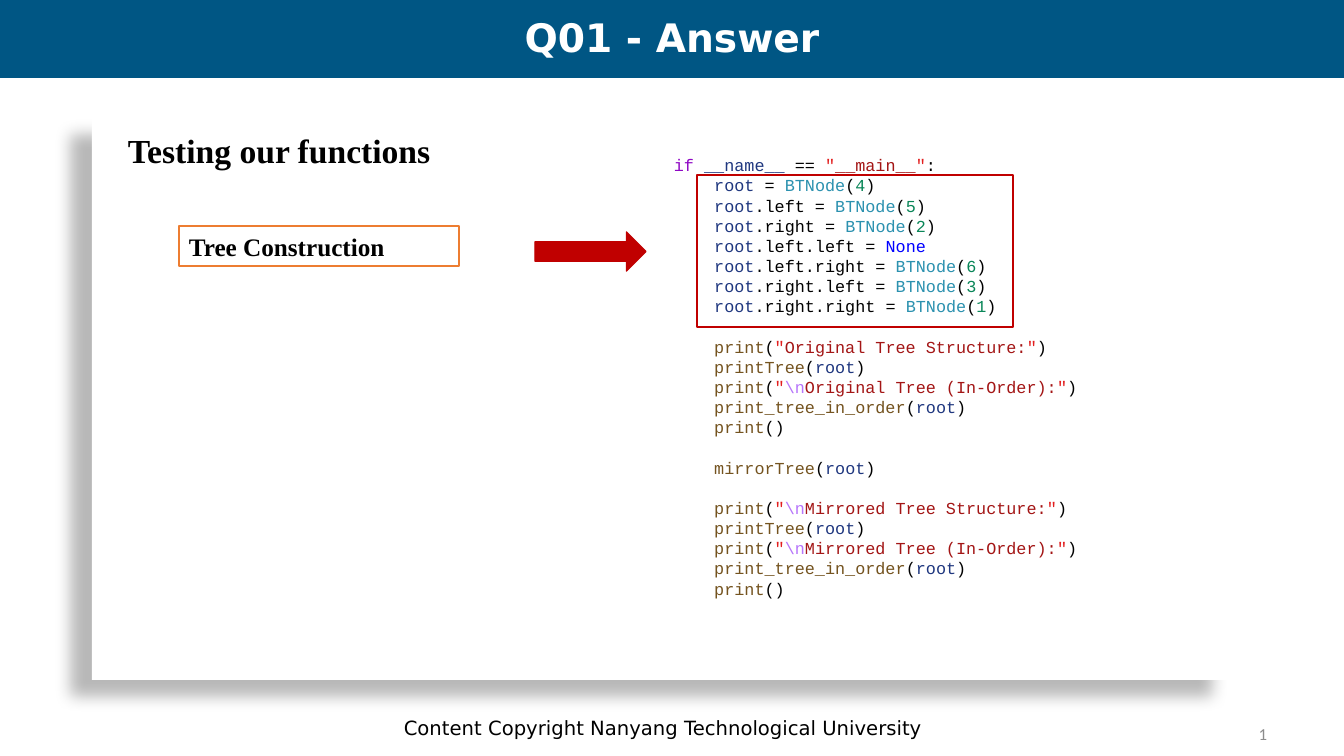
import copy

import lxml.etree
import pptx
import pptx.dml.color
import pptx.enum.shapes
import pptx.enum.text
import pptx.oxml
import pptx.oxml.ns
import pptx.util

SHAPE = pptx.enum.shapes.MSO_SHAPE
ALIGN = pptx.enum.text.PP_ALIGN
ANCHOR = pptx.enum.text.MSO_ANCHOR
EMU_PER_PX = 914400 / 100.8
TITLE_ONLY = 5

BLACK, WHITE, RED, ORANGE = "000000", "FFFFFF", "C00000", "ED7D31"
SANS, SERIF, MONO, NUMBER_FONT = "DejaVu Sans", "Times New Roman", "Courier New", "Calibri"

PLAIN, KEYWORD, VARIABLE, CLASS = BLACK, "8F08C4", "1F377F", "2B91AF"
NUMBER, CONSTANT, FUNCTION = "098658", "0000FF", "74531F"
QUOTE, STRING, ESCAPE = "E21F1F", "A31515", "B776FB"
INDENT = ("    ", PLAIN)
BREAK = None


def px(length):
    return pptx.util.Emu(round(length * EMU_PER_PX))


def rgb(hex_string):
    return pptx.dml.color.RGBColor.from_string(hex_string)


def quoted(text):
    """Colour a string literal, with a leading \\n escape set apart."""
    mark = ('"', QUOTE)
    if text.startswith("\\n"):
        return [mark, ("\\n", ESCAPE), (text[2:], STRING), mark]
    return [mark, (text, STRING), mark]


def call(function, *arguments):
    return [INDENT, (function, FUNCTION), ("(", PLAIN), *arguments, (")", PLAIN)]


def assign(branch, value):
    """Set a branch of the tree to a new node, or to None."""
    target = [INDENT, ("root", VARIABLE), (f"{branch} = ", PLAIN)]
    if value is None:
        return target + [("None", CONSTANT)]
    return target + [("BTNode", CLASS), ("(", PLAIN), (str(value), NUMBER), (")", PLAIN)]


def show_tree(label, first_escape=""):
    root = ("root", VARIABLE)
    return [
        call("print", *quoted(f"{first_escape}{label} Tree Structure:")),
        call("printTree", root),
        call("print", *quoted(f"\\n{label} Tree (In-Order):")),
        call("print_tree_in_order", root),
        call("print"),
    ]


def test_code():
    nodes = {"": 4, ".left": 5, ".right": 2, ".left.left": None,
             ".left.right": 6, ".right.left": 3, ".right.right": 1}
    main_check = [("if ", KEYWORD), ("__name__", VARIABLE), (" == ", PLAIN),
                  *quoted("__main__"), (":", PLAIN)]
    assignments = [assign(branch, value) for branch, value in nodes.items()]
    original, mirrored = show_tree("Original"), show_tree("Mirrored", "\\n")
    mirror = call("mirrorTree", ("root", VARIABLE))
    for section_start in (original[0], mirror, mirrored[0]):
        section_start.insert(0, BREAK)
    return [main_check, *assignments, *original, mirror, *mirrored]


class SlideBuilder:
    def __init__(self, presentation):
        slide = presentation.slides.add_slide(presentation.slide_layouts[TITLE_ONLY])
        self.shapes = slide.shapes

    def format_font(self, font, size, name, color, bold=False):
        font.size = pptx.util.Pt(size)
        font.name = name
        font.bold = bold
        font.color.rgb = rgb(color)

    def set_text(self, shape, text, size, name, color=BLACK, bold=False,
                 align=ALIGN.LEFT, anchor=ANCHOR.TOP):
        frame = shape.text_frame
        frame.text = text
        frame.word_wrap = True
        frame.auto_size = pptx.enum.text.MSO_AUTO_SIZE.NONE
        frame.vertical_anchor = anchor
        paragraph = frame.paragraphs[0]
        paragraph.alignment = align
        self.format_font(paragraph.runs[0].font, size, name, color, bold)
        return paragraph

    def title(self, box, text, size):
        title = self.shapes.title
        title.left, title.top, title.width, title.height = map(px, box)
        paragraph = self.set_text(title, text, size, SANS, WHITE, True,
                                  ALIGN.CENTER, ANCHOR.MIDDLE)
        paragraph.line_spacing = 0.9
        # Bring the title in front of the band drawn before it.
        title.element.getparent().append(title.element)

    def text(self, box, text, size, name, **style):
        return self.set_text(self.shapes.add_textbox(*map(px, box)), text, size, name, **style)

    def page_number(self, box, number):
        """Show the slide number as a field that updates itself."""
        paragraph = self.text(box, number, 12, NUMBER_FONT, color="8C8C8C",
                              align=ALIGN.RIGHT, anchor=ANCHOR.MIDDLE)
        run = paragraph._p.find(pptx.oxml.ns.qn("a:r"))
        field = lxml.etree.Element(pptx.oxml.ns.qn("a:fld"), type="slidenum",
                                   id="{B6F15528-21DE-4FAA-801E-634DDDAF4B2B}")
        field.extend(list(run))
        paragraph._p.replace(run, field)

    def shape(self, kind, box, fill=None, line=None):
        shape = self.shapes.add_shape(kind, *map(px, box))
        shape.shadow.inherit = False
        if fill:
            shape.fill.solid()
            shape.fill.fore_color.rgb = rgb(fill)
        else:
            shape.fill.background()
        if line:
            shape.line.color.rgb = rgb(line)
            shape.line.width = pptx.util.Pt(1)
        else:
            shape.line.fill.background()
        return shape

    def shadowed_panel(self, box):
        panel = self.shape(SHAPE.RECTANGLE, box, fill=WHITE)
        effects = panel.element.spPr.find(pptx.oxml.ns.qn("a:effectLst"))
        effects.append(pptx.oxml.parse_xml(
            f'<a:outerShdw {pptx.oxml.ns.nsdecls("a")} blurRad="{pptx.util.Pt(11.8)}" '
            f'dist="{pptx.util.Pt(19.7)}" dir="{141 * 60000}" algn="tr" rotWithShape="0">'
            f'<a:srgbClr val="{BLACK}"><a:alpha val="28000"/></a:srgbClr></a:outerShdw>'))

    def code(self, box, lines, size):
        """Give each line of (text, colour) tokens its own paragraph."""
        frame = self.shapes.add_textbox(*map(px, box)).text_frame
        frame.word_wrap = True
        for index, tokens in enumerate(lines):
            paragraph = frame.add_paragraph() if index else frame.paragraphs[0]
            for token in tokens:
                if token is BREAK:
                    paragraph.add_line_break()
                    continue
                run = paragraph.add_run()
                run.text, color = token
                self.format_font(run.font, size, MONO, color)
            # A line break takes its height from its own font properties.
            for line_break in paragraph._p.findall(pptx.oxml.ns.qn("a:br")):
                run_style = paragraph._p.find(".//" + pptx.oxml.ns.qn("a:rPr"))
                line_break.append(copy.deepcopy(run_style))


def main():
    presentation = pptx.Presentation()
    presentation.slide_width, presentation.slide_height = px(1344), px(756)
    answer = SlideBuilder(presentation)

    answer.shadowed_panel((92, 118, 1142, 562))
    answer.shape(SHAPE.RECTANGLE, (0, 0, 1344, 78), fill="005684")
    answer.text((180, 708, 966, 40), "Content Copyright Nanyang Technological University",
                14, SANS, align=ALIGN.CENTER, anchor=ANCHOR.MIDDLE)
    answer.page_number((964, 714, 313, 40), "8")
    answer.title((0, 4, 1344, 71), "Q01 - Answer", 28)

    answer.text((118, 125, 374, 50), "Testing our functions", 24, SERIF, bold=True)
    step = answer.shape(SHAPE.RECTANGLE, (179, 226, 280, 40), line=ORANGE)
    answer.set_text(step, "Tree Construction", 18, SERIF, bold=True, anchor=ANCHOR.MIDDLE)
    answer.shape(SHAPE.RIGHT_ARROW, (535, 232, 111, 39), fill=RED, line=RED)
    answer.shape(SHAPE.RECTANGLE, (697, 175, 316, 152), line=RED)
    answer.code((664, 150, 500, 458), test_code(), 12)

    presentation.save("out.pptx")


if __name__ == "__main__":
    main()
